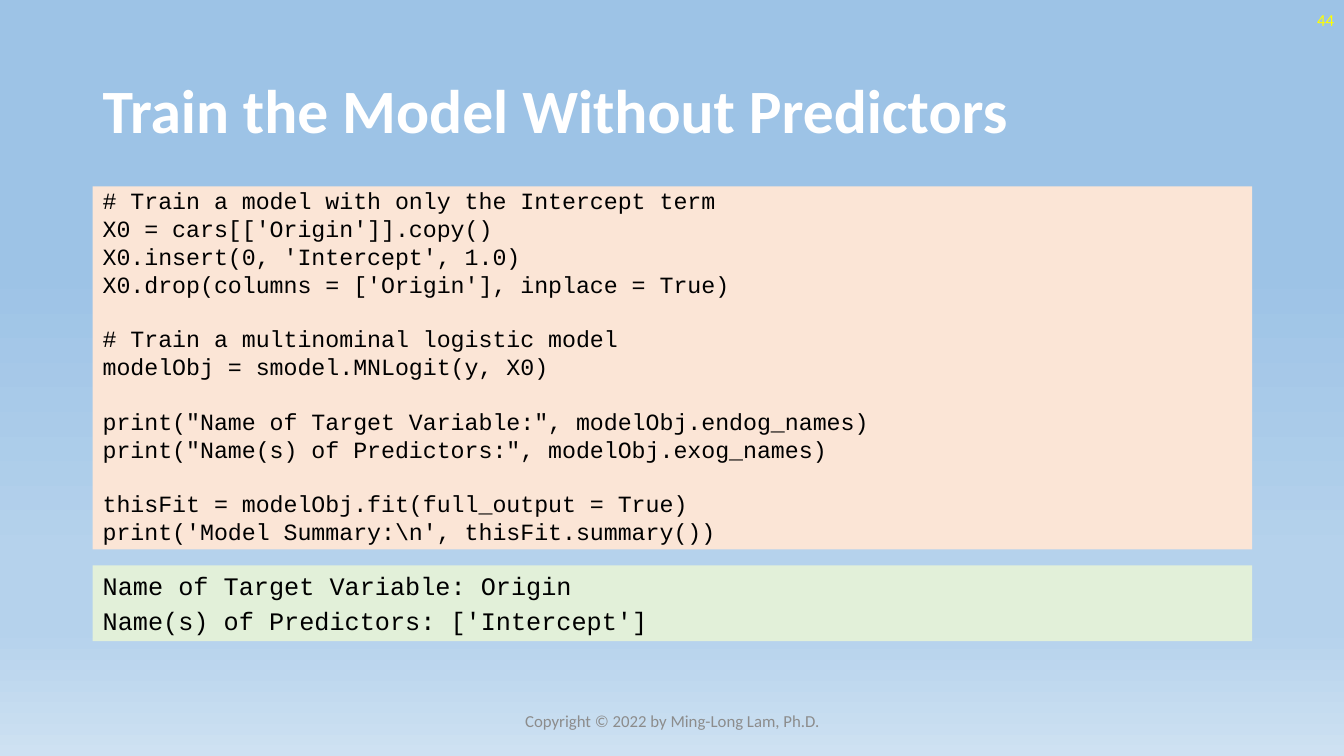
import copy

import pptx
import pptx.dml.color
import pptx.enum.shapes
import pptx.enum.text
import pptx.oxml.ns
import pptx.util

Inches = pptx.util.Inches
Pt = pptx.util.Pt
RGBColor = pptx.dml.color.RGBColor
Align = pptx.enum.text.PP_ALIGN
Anchor = pptx.enum.text.MSO_ANCHOR

WHITE = RGBColor(0xFF, 0xFF, 0xFF)
BLACK = RGBColor(0x00, 0x00, 0x00)
YELLOW = RGBColor(0xFF, 0xFF, 0x00)
GREY = RGBColor(0x8C, 0x8C, 0x8C)
PEACH = RGBColor(0xFB, 0xE5, 0xD6)
MINT = RGBColor(0xE2, 0xF0, 0xD9)
SKY = RGBColor(0x9D, 0xC3, 0xE6)
PALE_SKY = RGBColor(0xB5, 0xD2, 0xEC)
HAZE = RGBColor(0xCE, 0xE1, 0xF2)

BACKGROUND_STOPS = [(0.35, SKY), (0.74, PALE_SKY), (0.83, PALE_SKY), (1.0, HAZE)]

# Each inner list is a block of code set apart by a gap
CODE_BLOCKS = [
    ["# Train a model with only the Intercept term",
     "X0 = cars[['Origin']].copy()",
     "X0.insert(0, 'Intercept', 1.0)",
     "X0.drop(columns = ['Origin'], inplace = True)"],
    ["# Train a multinominal logistic model",
     "modelObj = smodel.MNLogit(y, X0)"],
    ['print("Name of Target Variable:", modelObj.endog_names)',
     'print("Name(s) of Predictors:", modelObj.exog_names)'],
    ["thisFit = modelObj.fit(full_output = True)",
     r"print('Model Summary:\n', thisFit.summary())"],
]
OUTPUT_BLOCKS = [["Name of Target Variable: Origin",
                  "Name(s) of Predictors: ['Intercept']"]]


class SlideBuilder:
    text_font = "Calibri"
    code_font = "Courier New"
    line_gap = 3
    block_gap = 22

    def __init__(self, page):
        self.page = page

    def background(self, stops):
        fill = self.page.background.fill
        fill.gradient()
        fill.gradient_angle = 270
        stop_list = next(self.page._element.iter(pptx.oxml.ns.qn("a:gsLst")))
        while len(stop_list) < len(stops):
            stop_list.append(copy.deepcopy(stop_list[0]))
        for stop, (position, color) in zip(fill.gradient_stops, stops):
            stop.position = position
            stop.color.rgb = color

    def add_span(self, para, words, font, size, color, bold=False):
        span = para.add_run()
        span.text = words
        span.font.name = font
        span.font.size = Pt(size)
        span.font.color.rgb = color
        span.font.bold = bold

    def label(self, left, top, width, height, words, size, color,
              align=Align.LEFT, bold=False):
        box = self.page.shapes.add_textbox(
            Inches(left), Inches(top), Inches(width), Inches(height))
        frame = box.text_frame
        frame.word_wrap = True
        frame.vertical_anchor = Anchor.MIDDLE
        para = frame.paragraphs[0]
        para.alignment = align
        para.line_spacing = 0.9 if bold else 1.0
        self.add_span(para, words, self.text_font, size, color, bold)

    def code_panel(self, top, height, blocks, size, fill, spacing, anchor):
        panel = self.page.shapes.add_shape(
            pptx.enum.shapes.MSO_SHAPE.RECTANGLE,
            Inches(0.92), Inches(top), Inches(11.5), Inches(height))
        panel.shadow.inherit = False
        panel.fill.solid()
        panel.fill.fore_color.rgb = fill
        panel.line.fill.background()
        frame = panel.text_frame
        frame.word_wrap = True
        frame.vertical_anchor = anchor
        para = None
        for block_index, block in enumerate(blocks):
            for line_index, line in enumerate(block):
                para = frame.add_paragraph() if para else frame.paragraphs[0]
                para.alignment = Align.LEFT
                para.line_spacing = spacing
                starts_block = block_index > 0 and line_index == 0
                para.space_before = Pt(self.block_gap if starts_block else self.line_gap)
                self.add_span(para, line, self.code_font, size, BLACK)


def main():
    deck = pptx.Presentation()
    deck.slide_width = Inches(13.33)
    deck.slide_height = Inches(7.5)
    builder = SlideBuilder(deck.slides.add_slide(deck.slide_layouts[6]))
    builder.background(BACKGROUND_STOPS)

    # Title, page number and footer
    builder.label(0.92, 0.4, 11.5, 1.45, "Train the Model Without Predictors",
                  44, WHITE, bold=True)
    builder.label(10.33, 0, 3, 0.4, "44", 12, YELLOW, Align.RIGHT)
    builder.label(4.42, 6.95, 4.5, 0.4, "Copyright © 2022 by Ming-Long Lam, Ph.D.",
                  12, GREY, Align.CENTER)

    # Code and its printed output
    builder.code_panel(1.85, 3.6, CODE_BLOCKS, 16.6, PEACH, 0.85, Anchor.MIDDLE)
    builder.code_panel(5.61, 0.75, OUTPUT_BLOCKS, 18, MINT, 1.0, Anchor.TOP)

    deck.save("out.pptx")


if __name__ == "__main__":
    main()
